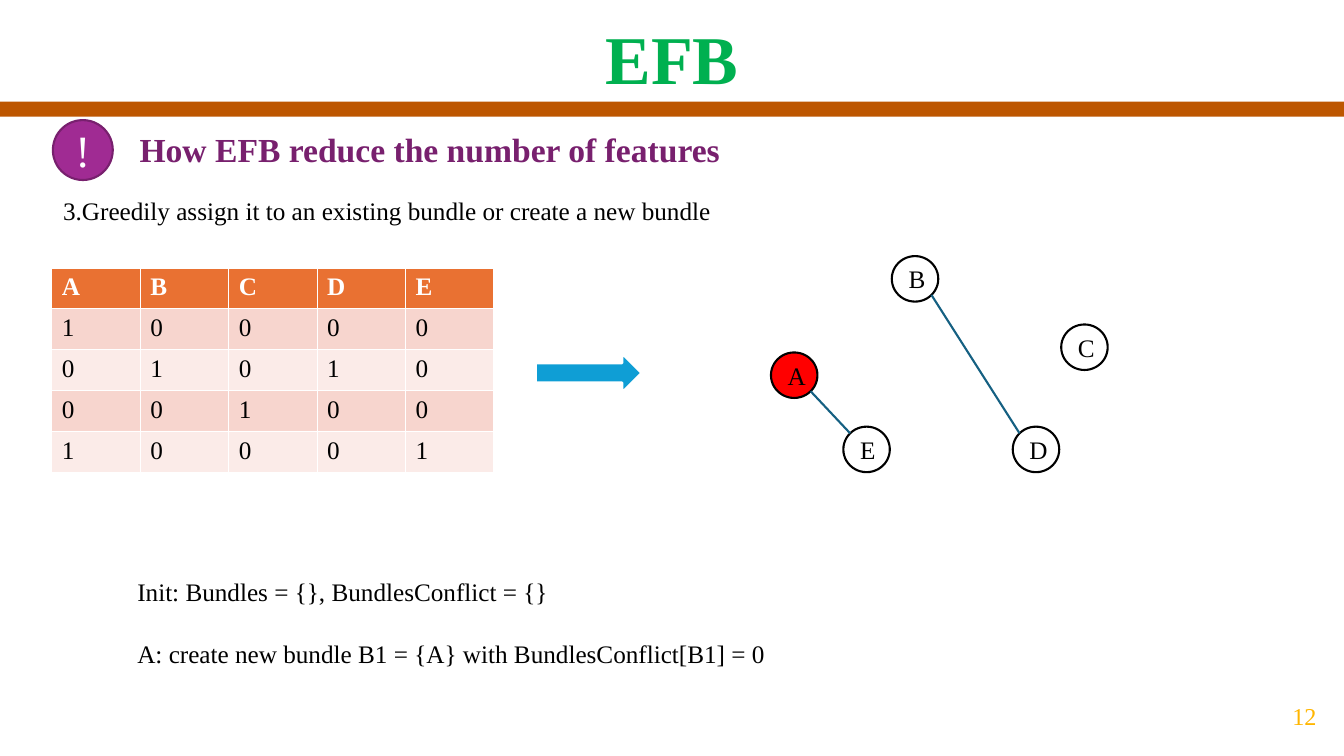
from math import sqrt

from lxml.etree import SubElement
from pptx import Presentation
from pptx.dml.color import RGBColor
from pptx.enum.shapes import MSO_CONNECTOR, MSO_SHAPE
from pptx.enum.text import MSO_ANCHOR, MSO_AUTO_SIZE, PP_ALIGN
from pptx.oxml.ns import qn
from pptx.util import Pt


class Theme:
    font = "Times New Roman"
    title, heading, body, mark, number = 48.8, 24, 18, 32, 17.3
    black, white, red = "000000", "FFFFFF", "FF0000"
    green, brown, purple, violet = "00B050", "BD5600", "78206E", "A02B93"
    blue, edge, amber = "0F9ED5", "156082", "FFB600"
    header, bands = "E97132", ("F7D5CE", "FBEBE8")


def write(tf, text, size, color, bold=False, align=PP_ALIGN.LEFT, anchor=MSO_ANCHOR.TOP, gap=0):
    """Fill a text frame, one paragraph per line, with gap points between them."""
    tf.word_wrap = True
    tf.auto_size = MSO_AUTO_SIZE.NONE
    tf.vertical_anchor = anchor
    for i, line in enumerate(text.split("\n")):
        p = tf.add_paragraph() if i else tf.paragraphs[0]
        p.alignment = align
        if i:
            p.space_before = Pt(gap)
        r = p.add_run()
        r.text = line
        for name, value in {"name": Theme.font, "size": Pt(size), "bold": bold}.items():
            setattr(r.font, name, value)
        r.font.color.rgb = RGBColor.from_string(color)


def add_filled(kind, box, fill, line=None, width=1.5):
    sp = s.shapes.add_shape(kind, *map(Pt, box))
    sp.shadow.inherit = False
    sp.fill.solid()
    sp.fill.fore_color.rgb = RGBColor.from_string(fill)
    if line:
        sp.line.color.rgb = RGBColor.from_string(line)
        sp.line.width = Pt(width)
    else:
        sp.line.fill.background()
    return sp


prs = Presentation()
prs.slide_width, prs.slide_height = Pt(960), Pt(540)
s = prs.slides.add_slide(prs.slide_layouts[5])
centred = {"align": PP_ALIGN.CENTER, "anchor": MSO_ANCHOR.MIDDLE}

# Title and heading
add_filled(MSO_SHAPE.RECTANGLE, (0, 72.6, 960, 10.8), Theme.brown)
title = s.shapes.title
for name, value in {"left": 0, "top": 4.3, "width": 960, "height": 68.4}.items():
    setattr(title, name, Pt(value))
title.text_frame.margin_top = Pt(8)
write(title.text_frame, "EFB", Theme.title, Theme.green, bold=True, **centred)

heading = add_filled(MSO_SHAPE.ROUNDED_RECTANGLE, (90.5, 85, 830, 43.2), Theme.white)
write(heading.text_frame, "How EFB reduce the number of features", Theme.heading,
      Theme.purple, bold=True, anchor=MSO_ANCHOR.MIDDLE)
badge = add_filled(MSO_SHAPE.OVAL, (37.8, 85.8, 42.8, 42.8), Theme.violet, Theme.purple)
write(badge.text_frame, "!", Theme.mark, Theme.white, **centred)

# Text boxes
step = "3.Greedily assign it to an existing bundle or create a new bundle"
trace = ("Init: Bundles = {}, BundlesConflict = {}\n"
         "A: create new bundle B1 = {A} with BundlesConflict[B1] = 0")
for box, text, size, color, layout in (
    ((38, 135.6, 922, 29), step, Theme.body, Theme.black, {}),
    ((91, 407.8, 527, 72.7), trace, Theme.body, Theme.black, {"gap": 23}),
    ((903.5, 482, 56.5, 58), "12", Theme.number, Theme.amber, centred),
):
    tf = s.shapes.add_textbox(*map(Pt, box)).text_frame
    write(tf, text, size, color, **layout)

# Feature table
rows = ["ABCDE", "10000", "01010", "00100", "10001"]
table = s.shapes.add_table(5, 5, Pt(37), Pt(191.4), Pt(316), Pt(146.25)).table
for i, row in enumerate(rows):
    for j, value in enumerate(row):
        cell = table.cell(i, j)
        cell.fill.solid()
        fill = Theme.bands[(i - 1) % 2] if i else Theme.header
        cell.fill.fore_color.rgb = RGBColor.from_string(fill)
        write(cell.text_frame, value, Theme.body, Theme.black if i else Theme.white, bold=i == 0)

add_filled(MSO_SHAPE.RIGHT_ARROW, (382.5, 252.2, 76, 28.4), Theme.blue, Theme.white, 2)

# Conflict graph
node_w, node_h = 33.2, 32.5
centres = {"A": (567.3, 268), "B": (653.6, 199.2), "C": (774.6, 248),
           "D": (740, 321), "E": (619, 321)}
for name, (x, y) in centres.items():
    fill = Theme.red if name == "A" else Theme.white
    node = add_filled(MSO_SHAPE.OVAL, (x - node_w / 2, y - node_h / 2, node_w, node_h),
                      fill, Theme.black)
    write(node.text_frame, name, Theme.body, Theme.black, **centred)

# Each edge runs from the lower right of one circle to the upper left of the other
dx, dy = node_w / 2 * sqrt(0.5), node_h / 2 * sqrt(0.5)
for start, end in ("AE", "BD"):
    (x1, y1), (x2, y2) = centres[start], centres[end]
    edge = s.shapes.add_connector(MSO_CONNECTOR.STRAIGHT, Pt(x1 + dx), Pt(y1 + dy),
                                  Pt(x2 - dx), Pt(y2 - dy))
    edge.line.color.rgb = RGBColor.from_string(Theme.edge)
    edge.line.width = Pt(1.5)
    SubElement(edge.element.spPr, qn("a:effectLst"))

prs.save("out.pptx")
